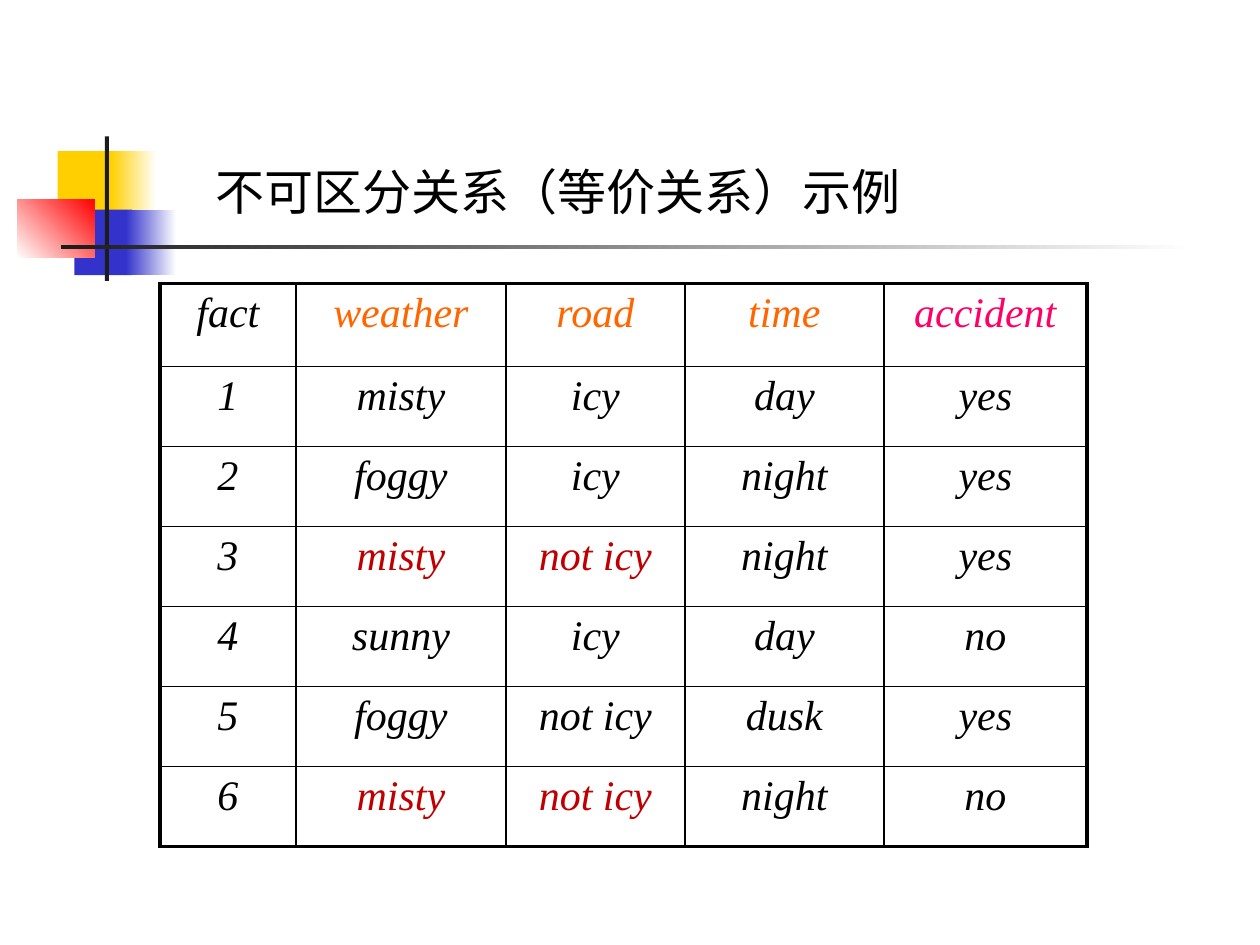
from lxml import etree
from pptx import Presentation
from pptx import util as u
from pptx.dml.color import RGBColor
from pptx.enum import shapes, text
from pptx.oxml.ns import qn

Pt = u.Pt
HUE = {
    "black": "000000", "white": "FFFFFF", "ink": "1C1C1C",
    "gold": "FFCF01", "blue": "3333CC", "red": "FF0000",
    "orange": "FF6600", "pink": "FF0066", "dark": "C00000",
}
TITLE = "不可区分关系（等价关系）示例"
BLOCKS = [
    ((33, 86.4, 34.6, 37.4), "gold", None, 0),
    ((63.4, 86.4, 25.9, 37.4), "gold", "white", 0),
    ((42.5, 119.8, 33.1, 37.4), "blue", None, 0),
    ((72, 119.8, 28.6, 37.4), "blue", "white", 0),
    ((9.8, 113.8, 44.4, 33.6), "white", "red", 45),
    ((59.9, 78, 2.4, 82.6), "ink", None, 0),
    ((34.8, 140, 648, 2.6), "ink", "white", 0),
]
FACTS = [
    ("fact", "weather", "road", "time", "accident"),
    ("1", "misty", "icy", "day", "yes"),
    ("2", "foggy", "icy", "night", "yes"),
    ("3", "misty", "not icy", "night", "yes"),
    ("4", "sunny", "icy", "day", "no"),
    ("5", "foggy", "not icy", "dusk", "yes"),
    ("6", "misty", "not icy", "night", "no"),
]
HEADS = ("black", "orange", "orange", "orange", "pink")
CLASH = {(r, c) for r in (3, 6) for c in (1, 2)}
WIDE = (77.7, 120, 102.3, 113.7, 116)
HIGH = (47.5,) + (45.7,) * 6
THICK, THIN = 2.25, 1


def rgb(name):
    return RGBColor.from_string(HUE[name])


def put(obj, form):
    for key, val in form.items():
        setattr(obj, key, val)


def write(frame, words, hue, form, align):
    para = frame.paragraphs[0]
    para.alignment = align
    run = para.add_run()
    run.text = words
    put(run.font, form)
    run.font.color.rgb = rgb(hue)
    east = etree.SubElement(run.font._element, qn("a:ea"))
    east.set("typeface", form["name"])


def block(slide, box, hue, end, angle):
    rect = slide.shapes.add_shape(shapes.MSO_SHAPE.RECTANGLE, *map(Pt, box))
    rect.shadow.inherit = False
    rect.line.fill.background()
    if end is None:
        rect.fill.solid()
        rect.fill.fore_color.rgb = rgb(hue)
        return
    rect.fill.gradient()
    rect.fill.gradient_angle = angle
    for stop, name, pos in zip(rect.fill.gradient_stops, (hue, end), (0, 1)):
        stop.color.rgb = rgb(name)
        stop.position = pos


def edge(cell, side, width):
    line = etree.SubElement(cell._tc.get_or_add_tcPr(), qn("a:ln" + side))
    line.set("w", str(int(Pt(width))))
    fill = etree.SubElement(line, qn("a:solidFill"))
    etree.SubElement(fill, qn("a:srgbClr")).set("val", HUE["black"])


def grid(slide):
    size = map(Pt, (91.4, 162, sum(WIDE), sum(HIGH)))
    table = slide.shapes.add_table(len(HIGH), len(WIDE), *size).table
    put(table, {"first_row": False, "horz_banding": False})
    for col, width in zip(table.columns, WIDE):
        col.width = Pt(width)
    for row, high in zip(table.rows, HIGH):
        row.height = Pt(high)
    form = {"name": "Times New Roman", "size": Pt(24), "italic": True}
    for r, fact in enumerate(FACTS):
        for c, words in enumerate(fact):
            cell = table.cell(r, c)
            hue = HEADS[c] if r == 0 else "dark" if (r, c) in CLASH else "black"
            write(cell.text_frame, words, hue, form, text.PP_ALIGN.CENTER)
            outer = {"L": c == 0, "R": c == len(WIDE) - 1,
                     "T": r == 0, "B": r == len(HIGH) - 1}
            for side, rim in outer.items():
                edge(cell, side, THICK if rim else THIN)
            cell.fill.background()


def main():
    deck = Presentation()
    put(deck, {"slide_width": Pt(720), "slide_height": Pt(540)})
    slide = deck.slides.add_slide(deck.slide_layouts[6])
    for item in BLOCKS:
        block(slide, *item)
    grid(slide)
    head = slide.shapes.add_textbox(*map(Pt, (116, 88.6, 480, 41))).text_frame
    put(head, {"word_wrap": True, "vertical_anchor": text.MSO_ANCHOR.MIDDLE})
    form = {"name": "Noto Sans CJK JP", "size": Pt(28)}
    write(head, TITLE, "black", form, text.PP_ALIGN.LEFT)
    deck.save("out.pptx")


if __name__ == "__main__":
    main()
